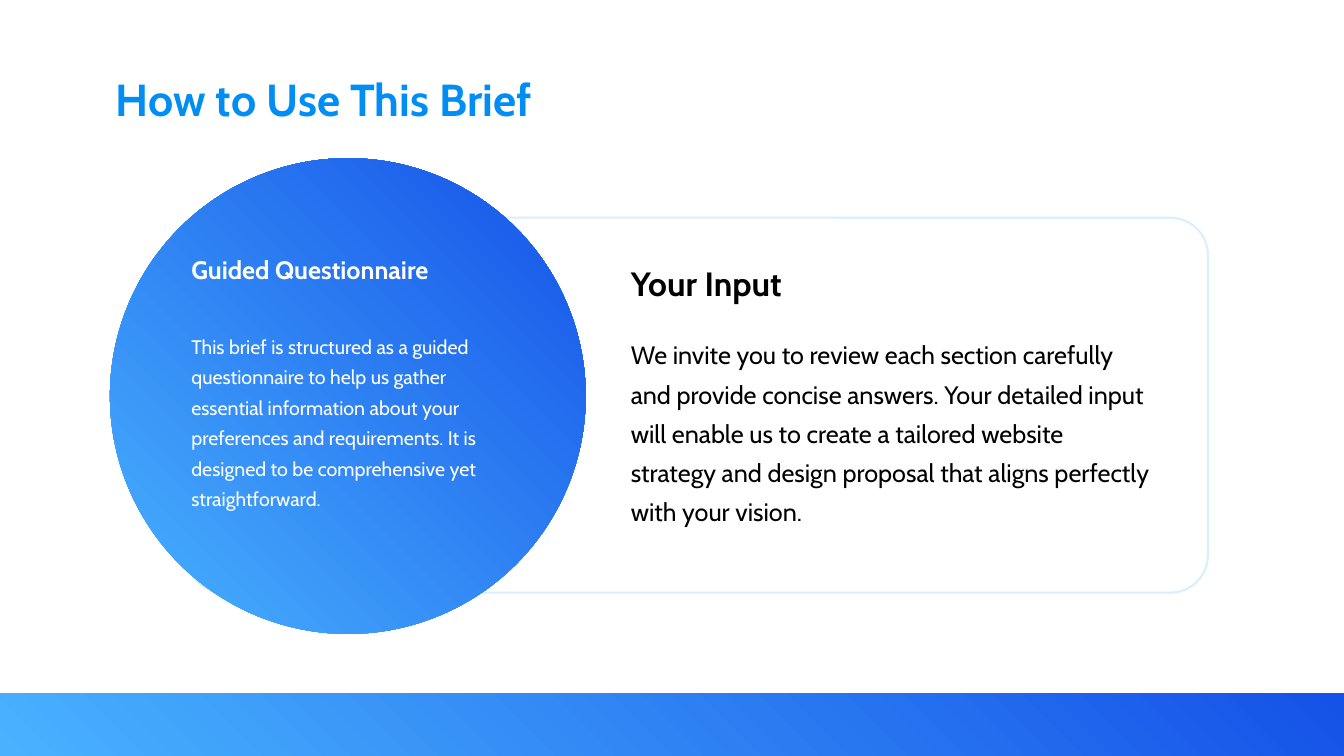
from lxml.etree import SubElement
from pptx import Presentation
from pptx.dml.color import RGBColor
from pptx.enum.shapes import MSO_SHAPE
from pptx.enum.text import MSO_AUTO_SIZE
from pptx.oxml.ns import qn
from pptx.util import Inches, Pt

SKY, ROYAL, TITLE_BLUE = "49B2FE", "1552E8", "018EF4"
WHITE, BLACK = "FFFFFF", "000000"


def color(hex_code):
    """Turn a hex string into a colour."""
    return RGBColor.from_string(hex_code)


class BriefSlide:
    """Draw styled elements on one slide, placed in percent of its size."""

    font_name = "Cabin"
    body_spacing = 1.3

    def __init__(self, deck):
        """Add a blank slide to the deck."""
        self.width, self.height = deck.slide_width, deck.slide_height
        self.slide = deck.slides.add_slide(deck.slide_layouts[6])

    def place(self, left, top, width, height):
        """Turn percentages into slide lengths."""
        return (int(self.width * left / 100), int(self.height * top / 100),
                int(self.width * width / 100), int(self.height * height / 100))

    def shape(self, kind, area):
        """Add a preset shape without shadow."""
        added = self.slide.shapes.add_shape(kind, *self.place(*area))
        added.shadow.inherit = False
        return added

    def gradient(self, kind, area):
        """Add a shape that runs from sky at lower left to royal blue."""
        added = self.shape(kind, area)
        added.line.fill.background()
        added.fill.gradient()
        added.fill.gradient_angle = 45
        for stop, shade in zip(added.fill.gradient_stops, (SKY, ROYAL)):
            stop.color.rgb = color(shade)

    def card(self, area, rounding, opacity):
        """Add a white rounded card with a faint outline."""
        added = self.shape(MSO_SHAPE.ROUNDED_RECTANGLE, area)
        added.adjustments[0] = rounding
        added.fill.solid()
        added.fill.fore_color.rgb = color(WHITE)
        added.line.color.rgb = color(SKY)
        added.line.width = Pt(1.5)
        outline = added.line.fill._xPr.find(f".//{qn('a:srgbClr')}")
        SubElement(outline, qn("a:alpha"), val=str(opacity * 1000))

    def text(self, words, area, size, shade, bold=False, spacing=None):
        """Add a wrapped paragraph that grows with its text."""
        frame = self.slide.shapes.add_textbox(*self.place(*area)).text_frame
        frame.word_wrap = True
        frame.auto_size = MSO_AUTO_SIZE.SHAPE_TO_FIT_TEXT
        paragraph = frame.paragraphs[0]
        paragraph.line_spacing = spacing
        run = paragraph.add_run()
        run.text = words
        run.font.name = self.font_name
        run.font.size = Pt(size)
        run.font.bold = bold
        run.font.color.rgb = color(shade)

    def heading(self, words, area, size, shade):
        """Add a bold heading."""
        self.text(words, area, size, shade, bold=True)

    def body(self, words, area, size, shade):
        """Add an openly spaced body paragraph."""
        self.text(words, area, size, shade, spacing=self.body_spacing)


def main():
    """Build and save the slide."""
    deck = Presentation()
    deck.slide_width, deck.slide_height = Inches(13.33), Inches(7.5)
    brief = BriefSlide(deck)
    guide_left, input_left = 13.5, 46.2

    brief.heading("How to Use This Brief", (7.88, 8.8, 80.4, 7.2), 32, TITLE_BLUE)
    brief.gradient(MSO_SHAPE.RECTANGLE, (0, 91.73, 100, 8.27))
    brief.card((13.88, 28.8, 76, 49.6), rounding=0.1, opacity=20)
    brief.gradient(MSO_SHAPE.OVAL, (8.18, 20.93, 35.4, 62.93))

    brief.heading("Guided Questionnaire", (guide_left, 32.93, 24.75, 4), 18, WHITE)
    brief.body(
        "This brief is structured as a guided questionnaire to help us gather "
        "essential information about your preferences and requirements. It is "
        "designed to be comprehensive yet straightforward.",
        (guide_left, 42.67, 24.75, 25.33), 14, WHITE)

    brief.heading("Your Input", (input_left, 34.13, 38.1, 5.33), 24, BLACK)
    brief.body(
        "We invite you to review each section carefully and provide concise "
        "answers. Your detailed input will enable us to create a tailored "
        "website strategy and design proposal that aligns perfectly with your "
        "vision.",
        (input_left, 43.07, 40.12, 31.2), 18, BLACK)

    deck.save("out.pptx")


if __name__ == "__main__":
    main()
